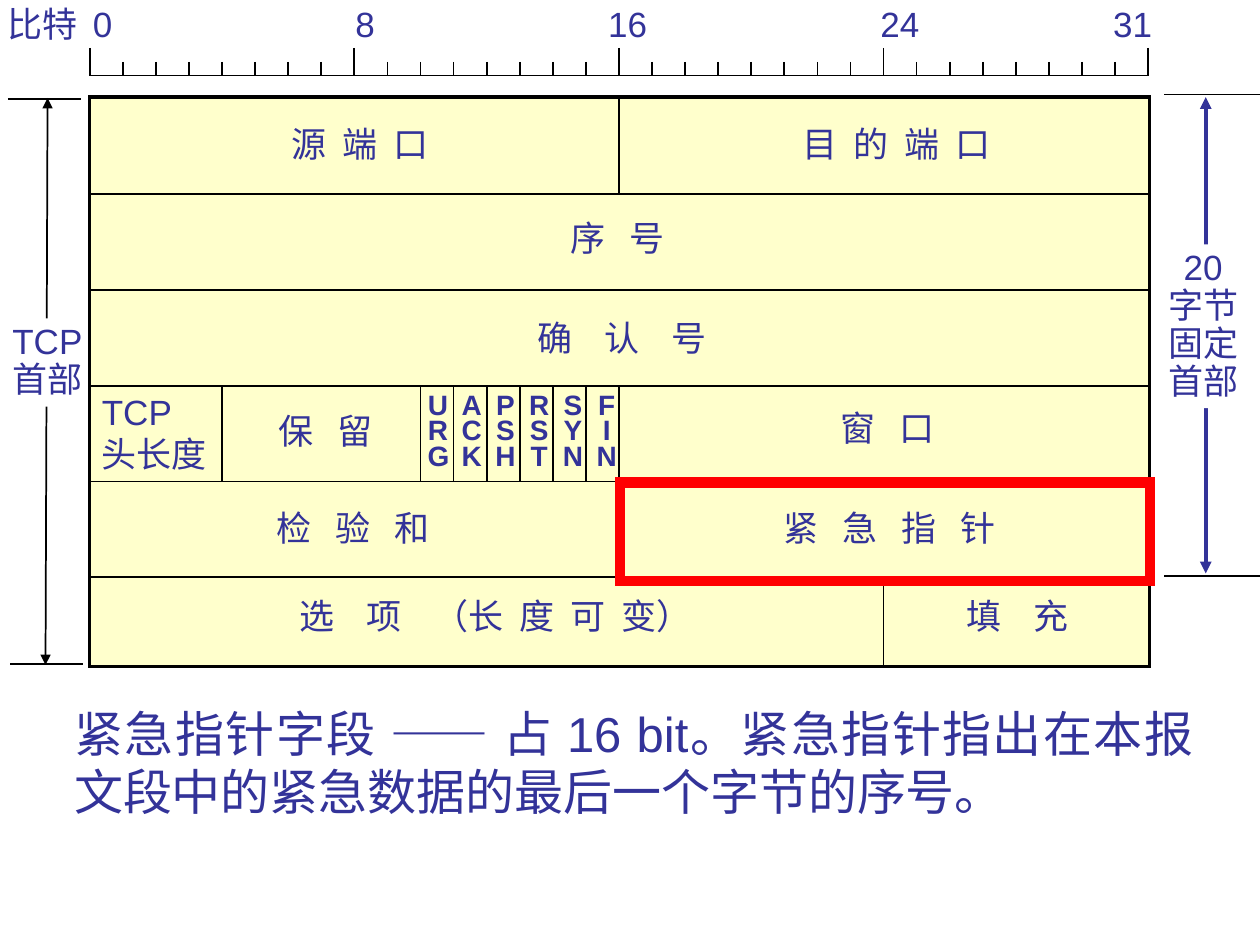
from lxml.etree import SubElement
from pptx import Presentation
from pptx.dml.color import RGBColor
from pptx.enum.shapes import MSO_CONNECTOR, MSO_SHAPE
from pptx.enum.text import MSO_AUTO_SIZE, PP_ALIGN
from pptx.oxml.ns import qn
from pptx.util import Pt

BLACK = RGBColor(0x00, 0x00, 0x00)
WHITE = RGBColor(0xFF, 0xFF, 0xFF)
NAVY = RGBColor(0x33, 0x33, 0x99)
CREAM = RGBColor(0xFF, 0xFF, 0xCC)
RED = RGBColor(0xFF, 0x00, 0x00)

LEFT, RIGHT, BIT = 51.3, 657, 18.9    # header edges and width of one bit
TOP, BASE = 55.5, 381                 # header top and bottom
ROWS = [TOP] + [110.9 + 54.75 * i for i in range(5)] + [BASE]


def col(bit):
    return LEFT + BIT * bit


def add_line(slide, x1, y1, x2, y2, color=BLACK, width=1, arrows=False):
    line = slide.shapes.add_connector(
        MSO_CONNECTOR.STRAIGHT, Pt(x1), Pt(y1), Pt(x2), Pt(y2))
    line.line.color.rgb = color
    line.line.width = Pt(width)
    if arrows:
        ln = line.line._get_or_add_ln()
        for end in ("a:headEnd", "a:tailEnd"):
            SubElement(ln, qn(end)).set("type", "triangle")
    SubElement(line._element.spPr, qn("a:effectLst"))


def add_rect(slide, x, y, w, h, fill=None, edge=BLACK, width=1):
    box = slide.shapes.add_shape(
        MSO_SHAPE.RECTANGLE, Pt(x), Pt(y), Pt(w), Pt(h))
    box.shadow.inherit = False
    if fill is None:
        box.fill.background()
    else:
        box.fill.solid()
        box.fill.fore_color.rgb = fill
    box.line.color.rgb = edge
    box.line.width = Pt(width)
    # Square corners
    SubElement(box.line._get_or_add_ln(), qn("a:miter")).set("lim", "800000")


def add_run(para, text, size=20, bold=False, track=0, face="Arial"):
    run = para.add_run()
    run.text = text
    font = run.font
    font.name, font.size, font.bold = face, Pt(size), bold
    font.color.rgb = NAVY
    if track:
        run._r.get_or_add_rPr().set("spc", str(round(track * 100)))


def add_box(slide, x, y, w, h, wrap=True, fill=None):
    box = slide.shapes.add_textbox(Pt(x), Pt(y), Pt(w), Pt(h))
    if fill is not None:
        box.fill.solid()
        box.fill.fore_color.rgb = fill
    box.text_frame.word_wrap = wrap
    box.text_frame.auto_size = MSO_AUTO_SIZE.SHAPE_TO_FIT_TEXT
    return box.text_frame


def add_stack(slide, x, y, w, h, lines, align=PP_ALIGN.LEFT,
              space=1.0, wrap=False, fill=None, **style):
    frame = add_box(slide, x, y, w, h, wrap, fill)
    for i, text in enumerate(lines):
        para = frame.add_paragraph() if i else frame.paragraphs[0]
        para.alignment, para.line_spacing = align, space
        add_run(para, text, **style)


def add_field(slide, x, y, w, parts):
    """One line of spaced characters; parts are (text, tracking)."""
    para = add_box(slide, x, y, w, 31).paragraphs[0]
    for text, track in parts:
        add_run(para, text, track=track)


def add_scale(slide):
    para = add_box(slide, -3, -2, 700, 31).paragraphs[0]
    tabs = SubElement(para._p.get_or_add_pPr(), qn("a:tabLst"))
    for stop in (49, 199, 343.5, 499, 632):
        tab = SubElement(tabs, qn("a:tab"))
        tab.set("pos", str(Pt(stop)))
        tab.set("algn", "l")
    add_run(para, "比特\t0\t8\t16\t24\t31")
    add_line(slide, LEFT, 43.2, col(32), 43.2)
    for bit in range(33):
        add_line(slide, col(bit), 35.3 if bit % 8 else 27.4, col(bit), 43.2)


def add_spans(slide):
    # Whole header on the left, fixed part on the right
    add_line(slide, 27.2, 56, 26, 380, arrows=True)
    add_stack(slide, 0, 182, 54.7, 50.4, ["TCP", "首部"], space=0.9, fill=WHITE)
    add_line(slide, 689, 55.5, 689, 327.6, NAVY, 2.25, arrows=True)
    add_stack(slide, 660.2, 139.7, 54.7, 93.6, ["20", "字节", "固定", "首部"],
              PP_ALIGN.CENTER, 0.9, fill=WHITE)
    for y in (54, 329):
        add_line(slide, 665.3, y, 730.8, y)
    for x, y in ((4.5, 56.7), (5.8, 379.5)):
        add_line(slide, x, y, x + 41.8, y)


def add_grid(slide):
    add_rect(slide, LEFT, TOP, RIGHT - LEFT, BASE - TOP, CREAM, width=2)
    for y in ROWS[1:-1]:
        add_line(slide, LEFT, y, RIGHT, y)
    # Column rules: bit, first row, last row
    rules = [(16, 0, 1), (16, 3, 5), (4, 3, 4), (24, 5, 6)]
    rules += [(bit, 3, 4) for bit in range(10, 16)]
    for bit, start, end in rules:
        add_line(slide, col(bit), ROWS[start], col(bit), ROWS[end])


def add_names(slide):
    # Left, top, width, text, tracking
    fields = [
        (159.3, 66.2, 120, "源 端 口", 2.3),
        (451.5, 66.2, 150, "目 的 端 口", 2.3),
        (319, 120.2, 100, "序 号", 4.6),
        (300, 177.1, 140, "确 认 号", 6.9),
        (152, 230.4, 85, "保 留", 4.6),
        (473, 229, 100, "窗 口", 4.6),
        (151.2, 285.8, 130, "检 验 和", 4.6),
        (440.6, 285.8, 170, "紧 急 指 针", 4.6),
        (545, 336.2, 100, "填 充", 6.9),
    ]
    for x, y, w, text, track in fields:
        add_field(slide, x, y, w, [(text[:-1], track), (text[-1], 0)])
    add_field(slide, 164.2, 336.2, 280, [
        ("选 项 ", 6.9), ("（", 0), ("长 度 可 ", 2.3), ("变）", 0)])
    add_stack(slide, 51.1, 219.6, 90, 54.7, ["TCP", "头长度"], wrap=True)
    for i, flag in enumerate(("URG", "ACK", "PSH", "RST", "SYN", "FIN")):
        add_stack(slide, 237.2 + 19.3 * i, 222.5, 26, 50.4, flag,
                  PP_ALIGN.CENTER, 0.75, size=16, bold=True)


def add_note(slide):
    para = add_box(slide, 35.3, 398.2, 653.8, 75).paragraphs[0]
    para.alignment = PP_ALIGN.JUSTIFY
    add_run(para, "紧急指针字段 —— 占 16 bit。", 28)
    add_run(para, "紧急指针指出在本报文段中的紧急数据的最后一个字节的序号。",
            28, face="Cabin")


def main():
    deck = Presentation()
    deck.slide_width, deck.slide_height = Pt(720), Pt(540)
    slide = deck.slides.add_slide(deck.slide_layouts[6])
    add_spans(slide)
    add_grid(slide)
    add_names(slide)
    add_scale(slide)
    # Frame round the urgent pointer
    add_rect(slide, 354.2, 275.8, 303.1, 56.2, edge=RED, width=6)
    add_note(slide)
    deck.save("out.pptx")


if __name__ == "__main__":
    main()
